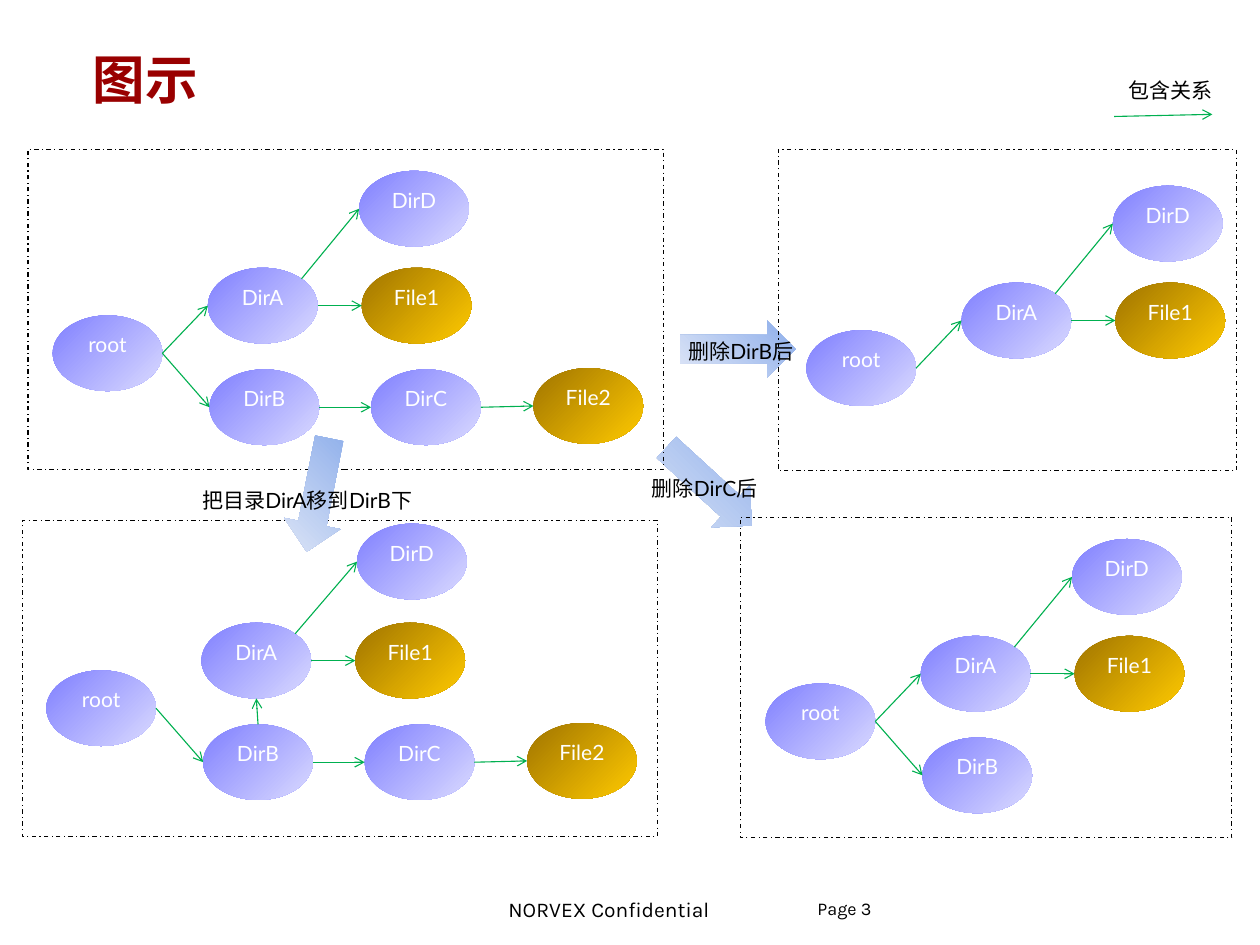
import math

import lxml.etree
import pptx
import pptx.dml.color
import pptx.enum.dml
import pptx.enum.shapes
import pptx.enum.text
import pptx.oxml.ns
import pptx.util

Cm = pptx.util.Cm
SHAPES = pptx.enum.shapes.MSO_SHAPE
ALIGN = pptx.enum.text.PP_ALIGN
ANCHOR = pptx.enum.text.MSO_ANCHOR

CJK_FONT = "Noto Sans CJK SC"
DIRECTORY_COLORS = ("8080FF", "DADAFF")
FILE_COLORS = ("A07400", "FFCA00")
STEP_COLORS = ("8CADEA", "DEE6F7")

NODE_WIDTH, NODE_HEIGHT = 2.58, 1.78
STEP_WIDTH, STEP_HEIGHT = 2.72, 1.35

# Node positions in cm, measured from the root of each tree
OFFSETS = {
    "root": (0, 0),
    "DirA": (3.65, -1.12),
    "DirB": (3.69, 1.27),
    "DirC": (7.49, 1.27),
    "DirD": (7.21, -3.4),
    "File1": (7.27, -1.12),
    "File2": (11.31, 1.24),
}
DIAGONAL = math.sqrt(0.5)
# Points on a node's outline, as fractions of its half width and half height
SIDES = {
    "left": (-1, 0),
    "right": (1, 0),
    "top": (0, -1),
    "bottom": (0, 1),
    "top right": (DIAGONAL, -DIAGONAL),
}
ROOT_A = ("root", "right", "DirA", "left")
ROOT_B = ("root", "right", "DirB", "left")
B_A = ("DirB", "top", "DirA", "bottom")
A_CONTENT = [("DirA", "top right", "DirD", "left"), ("DirA", "right", "File1", "left")]
B_CONTENT = [("DirB", "right", "DirC", "left"), ("DirC", "right", "File2", "left")]


def rgb(color):
    return pptx.dml.color.RGBColor.from_string(color)


def add_xml(parent, tag, **attributes):
    return lxml.etree.SubElement(parent, pptx.oxml.ns.qn(tag), attributes)


def format_text(para, size, font, color, bold=False):
    for span in para.runs:
        span.font.size = pptx.util.Pt(size)
        span.font.name = font
        span.font.bold = bold
        span.font.color.rgb = rgb(color)
        add_xml(span.font._element, "a:ea", typeface=CJK_FONT)


def add_text(page, text, left, top, width, height, size=14, font="Lato",
             color="000000", bold=False, align=ALIGN.LEFT):
    box = page.shapes.add_textbox(Cm(left), Cm(top), Cm(width), Cm(height))
    box.text_frame.word_wrap = align == ALIGN.LEFT
    para = box.text_frame.paragraphs[0]
    para.text = text
    para.alignment = align
    format_text(para, size, font, color, bold)
    return box


def add_label(page, text, left, top, width, font="Lato"):
    add_text(page, text, left, top, width, 0.86, font=font, align=ALIGN.CENTER)


def add_gradient_shape(page, kind, left, top, width, height, colors, angle):
    """Add a borderless shape; the gradient angle runs clockwise."""
    shape = page.shapes.add_shape(kind, Cm(left), Cm(top), Cm(width), Cm(height))
    shape.shadow.inherit = False
    shape.line.fill.background()
    shape.fill.gradient()
    shape.fill.gradient_angle = 360 - angle
    for stop, color in zip(shape.fill.gradient_stops, colors):
        stop.color.rgb = rgb(color)
    return shape


def add_node(page, name, left, top):
    colors = FILE_COLORS if name.startswith("File") else DIRECTORY_COLORS
    node = add_gradient_shape(page, SHAPES.OVAL, left, top,
                              NODE_WIDTH, NODE_HEIGHT, colors, 45)
    node.text_frame.vertical_anchor = ANCHOR.TOP
    para = node.text_frame.paragraphs[0]
    para.text = name
    para.alignment = ALIGN.CENTER
    format_text(para, 14, "Lato", "FFFFFF")


def add_relation(page, start, end):
    """Draw a green arrow between two points given in cm."""
    line = page.shapes.add_connector(pptx.enum.shapes.MSO_CONNECTOR.STRAIGHT,
                                     *map(Cm, start + end))
    line.line.color.rgb = rgb("00B050")
    line.line.width = pptx.util.Pt(0.75)
    add_xml(line.line._get_or_add_ln(), "a:tailEnd", type="arrow")
    add_xml(line._element.spPr, "a:effectLst")


def outline_point(position, side):
    across, down = SIDES[side]
    return (position[0] + NODE_WIDTH / 2 * (1 + across),
            position[1] + NODE_HEIGHT / 2 * (1 + down))


def add_tree(page, left, top, relations, dir_d_shift=(0, 0)):
    """Draw a tree whose root is at left, top, with the nodes its relations name."""
    places = {name: (left + x, top + y) for name, (x, y) in OFFSETS.items()}
    x, y = places["DirD"]
    places["DirD"] = (x + dir_d_shift[0], y + dir_d_shift[1])
    used = {name for relation in relations for name in relation[::2]}
    for name, place in places.items():
        if name in used:
            add_node(page, name, *place)
    for source, source_side, target, target_side in relations:
        add_relation(page, outline_point(places[source], source_side),
                     outline_point(places[target], target_side))


def add_frame(page, left, top, width, height):
    frame = page.shapes.add_shape(SHAPES.RECTANGLE, Cm(left), Cm(top), Cm(width), Cm(height))
    frame.shadow.inherit = False
    frame.fill.background()
    frame.line.color.rgb = rgb("000000")
    frame.line.width = pptx.util.Pt(0.75)
    frame.line.dash_style = pptx.enum.dml.MSO_LINE.DASH_DOT


def add_step(page, left, top, rotation):
    """Add a block arrow whose gradient keeps its direction on the page."""
    step = add_gradient_shape(page, SHAPES.RIGHT_ARROW, left, top, STEP_WIDTH,
                              STEP_HEIGHT, STEP_COLORS, 135 - rotation)
    step.rotation = rotation


def add_footer(page):
    add_text(page, "NORVEX Confidential", 11.71, 20.96, 5.54, 0.84, font="Karla")
    number = add_text(page, "Page 3", 19.23, 21.2, 3.43, 0.5, size=12, font="Karla")
    frame = number.text_frame
    frame.margin_left = frame.margin_top = frame.margin_right = frame.margin_bottom = 0
    frame.paragraphs[0].line_spacing = 0.85


def main():
    deck = pptx.Presentation()
    deck.slide_width, deck.slide_height = Cm(29.64), Cm(22.23)
    page = deck.slides.add_slide(deck.slide_layouts[6])

    title = add_text(page, "图示", 1.93, 0, 26.14, 3.71, 35, "Arial", "990000", bold=True)
    title.text_frame.vertical_anchor = ANCHOR.MIDDLE
    add_label(page, "包含关系", 26.29, 1.7, 2.49, CJK_FONT)
    add_relation(page, (26.21, 2.74), (28.52, 2.69))

    add_step(page, 16, 7.54, 0)
    add_step(page, 15.32, 10.77, 42.5)
    add_frame(page, 0.66, 3.51, 14.94, 7.54)
    add_frame(page, 0.53, 12.24, 14.94, 7.44)
    add_frame(page, 18.31, 3.51, 10.77, 7.57)
    add_frame(page, 17.42, 12.17, 11.56, 7.54)
    add_step(page, 6.12, 10.97, 101.2)

    add_tree(page, 1.24, 7.42, [ROOT_A, ROOT_B] + A_CONTENT + B_CONTENT)
    add_tree(page, 18.97, 7.77, [ROOT_A] + A_CONTENT)
    add_tree(page, 1.09, 15.77, [ROOT_B, B_A] + A_CONTENT + B_CONTENT, (0.1, -0.05))
    add_tree(page, 18.01, 16.08, [ROOT_A, ROOT_B] + A_CONTENT)

    add_label(page, "删除DirB后", 15.8, 7.85, 3.25)
    add_label(page, "删除DirC后", 14.96, 11.05, 3.23)
    add_label(page, "把目录DirA移到DirB下", 4.24, 11.35, 5.97)
    add_footer(page)
    deck.save("out.pptx")


if __name__ == "__main__":
    main()
